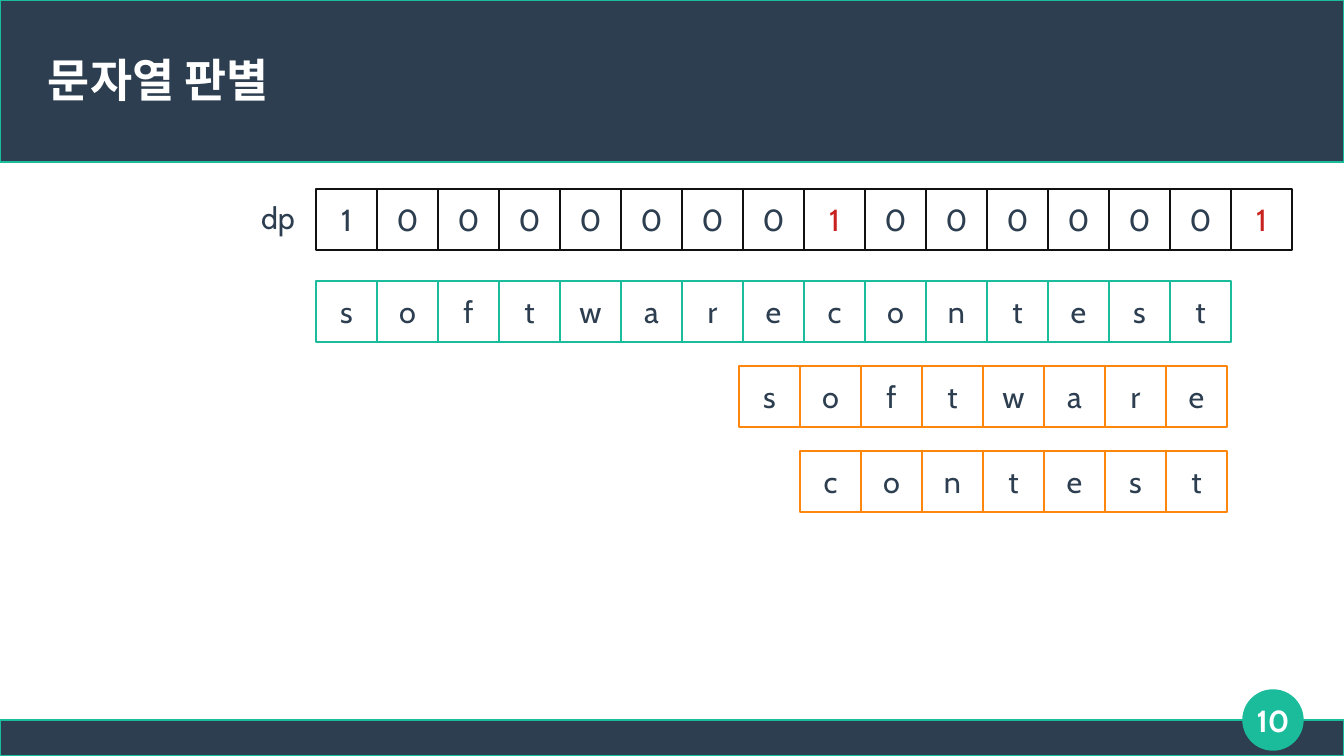
from dataclasses import dataclass

from pptx import Presentation
from pptx.dml.color import RGBColor
from pptx.enum.shapes import MSO_SHAPE as Shape
from pptx.enum.text import MSO_ANCHOR as Anchor, PP_ALIGN as Align
from pptx.util import Emu, Pt

SCALE = 914400 / 122
FONT = "Cabin"
NAVY, TEAL, ORANGE = "2C3E50", "1ABC9C", "FF860D"
BLACK, WHITE, RED = "111111", "FFFFFF", "C9211E"
CELL = 61


@dataclass
class Box:
    x: int
    y: int
    w: int
    h: int


@dataclass
class CellRow:
    x: int
    y: int
    letters: str
    line: str
    red: tuple[int, ...] = ()


@dataclass
class Label:
    box: Box
    text: str
    size: int
    color: str
    bold: bool = False
    align: Align = Align.CENTER
    inset: tuple[int, int] = (0, 0)
    wrap: bool = True


BANDS = [
    (Shape.RECTANGLE, Box(0, 720, 1344, 36), NAVY),
    (Shape.RECTANGLE, Box(0, 0, 1344, 162), NAVY),
    (Shape.OVAL, Box(1243, 690, 60, 60), TEAL),
]
ROWS = [
    CellRow(316, 189, "1000000010000001", BLACK, (8, 15)),
    CellRow(316, 281, "softwarecontest", TEAL),
    CellRow(739, 366, "software", ORANGE),
    CellRow(800, 451, "contest", ORANGE),
]
LABELS = [
    Label(Box(48, 31, 1249, 96), "문자열 판별", 27, WHITE, True, Align.LEFT),
    Label(Box(247, 190, 62, 54), "dp", 18, NAVY, inset=(12, 6), wrap=False),
    Label(Box(1225, 690, 96, 60), "10", 18, WHITE, True),
]


def px(n: int) -> Emu:
    return Emu(round(n * SCALE))


def rgb(color: str) -> RGBColor:
    return RGBColor.from_string(color)


def place(box: Box) -> tuple[Emu, Emu, Emu, Emu]:
    return px(box.x), px(box.y), px(box.w), px(box.h)


def add_box(s, kind: Shape, box: Box, fill: str, line: str):
    sp = s.shapes.add_shape(kind, *place(box))
    sp.shadow.inherit = False
    sp.fill.solid()
    sp.fill.fore_color.rgb = rgb(fill)
    sp.line.color.rgb = rgb(line)
    sp.line.width = Pt(0.85)
    return sp


def write(sp, label: Label) -> None:
    tf = sp.text_frame
    tf.word_wrap = label.wrap
    tf.vertical_anchor = Anchor.MIDDLE
    tf.margin_left = tf.margin_right = px(label.inset[0])
    tf.margin_top = tf.margin_bottom = px(label.inset[1])
    p = tf.paragraphs[0]
    p.alignment = label.align
    r = p.add_run()
    r.text = label.text
    r.font.name = FONT
    r.font.size = Pt(label.size)
    r.font.bold = label.bold
    r.font.color.rgb = rgb(label.color)


def add_row(s, row: CellRow) -> None:
    for i, letter in enumerate(row.letters):
        box = Box(row.x + i * CELL, row.y, CELL, CELL)
        color = RED if i in row.red else NAVY
        sp = add_box(s, Shape.RECTANGLE, box, WHITE, row.line)
        write(sp, Label(box, letter, 18, color, inset=(12, 6), wrap=False))


def main() -> None:
    prs = Presentation()
    prs.slide_width, prs.slide_height = px(1344), px(756)
    s = prs.slides.add_slide(prs.slide_layouts[6])
    for kind, box, fill in BANDS:
        add_box(s, kind, box, fill, TEAL)
    for row in ROWS:
        add_row(s, row)
    for label in LABELS:
        write(s.shapes.add_textbox(*place(label.box)), label)
    prs.save("out.pptx")


if __name__ == "__main__":
    main()
